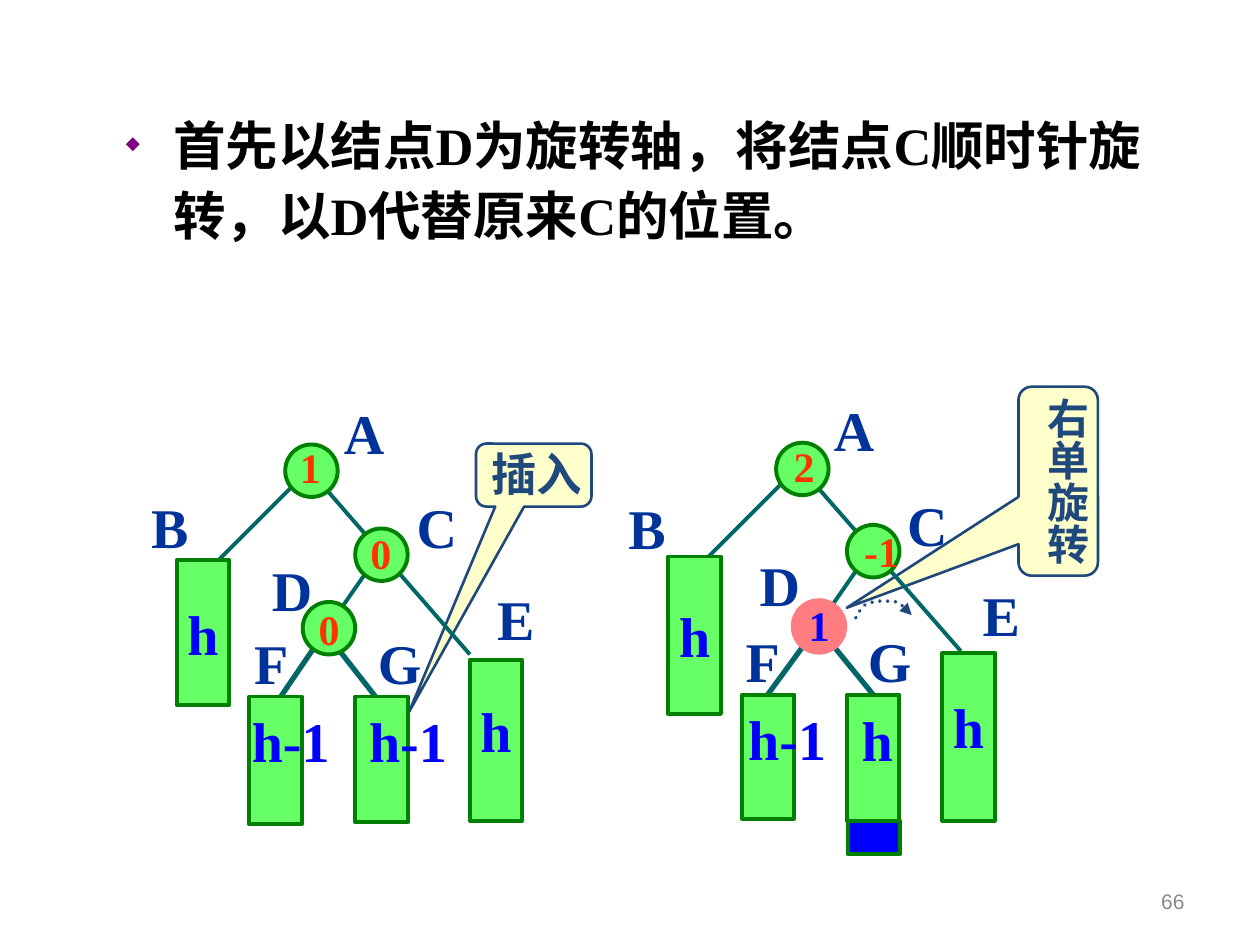
from lxml import etree
from pptx import Presentation
from pptx import util as u
from pptx.dml.color import RGBColor
from pptx.enum import dml, shapes, text
from pptx.oxml.ns import qn

Pt = u.Pt
THEME = dict(
    serif="Times New Roman", sans="Arial",
    body=30, label=32, value=24, number=12,
    black="000000", grey="898989", bullet="800080",
    green="66FF66", outline="008000", pink="FF7C80", blue="0000FF",
    edge="006666", name="003399", balance="FF3300",
    note="FFFFCC", ink="1F497D",
)

# Content: lengths in points
STATEMENT = "首先以结点D为旋转轴，将结点C顺时针旋转，以D代替原来C的位置。"
NODE = 30   # circle diameter and subtree width
INSET = 7.2
ADVANCE = {"A": .722, "B": .667, "C": .722, "D": .722, "E": .667, "F": .611,
           "G": .778, "h": .556, "-": .333, "0": .5, "1": .5, "2": .5}

TREES = [
    dict(  # before the rotation
        callout=(272, 253.5, 66, 36, -1.08, 3.76),
        note=("插入", 273.6, 251.3, 70, 39, 26, False),
        edges=[("DF", 185, 362, 160.5, 398, 3), ("DG", 191, 368, 214.5, 398, 3),
               ("AB", 167, 278, 113, 332, 2.25), ("AE", 185, 278, 268.5, 374, 2.25),
               ("CD", 210, 326, 185, 362, 2.25)],
        joined=[],
        subtrees=[("B", 101, 320, 83, "h", 1), ("E", 268.5, 377, 92, "h", .6),
                  ("F", 142.5, 398, 73, "", 1), ("G", 203, 398, 72, "", 1)],
        nodes=[("A", 163, 254, "green", "outline"), ("C", 203, 302, "green", "outline"),
               ("D", 173, 344, "green", "outline")],
        heights=[("h-1", 203.8, 400.3), ("h-1", 136.8, 400.3)],
        names=[("A", 189.4, 224), ("C", 231, 278), ("E", 277, 330.5),
               ("D", 148.3, 314), ("B", 79.2, 278), ("F", 138.2, 355.7),
               ("G", 208.8, 355.7)],
        values=[("1", 164.2, 249, "balance"), ("0", 204.5, 298, "balance"),
                ("0", 175, 341.3, "balance")],
    ),
    dict(  # after the insertion
        callout=(582, 221, 45.4, 108, -2.66, .67),
        note=("右单旋转", 584.8, 219.8, 43.2, 110.4, 24, True),
        edges=[("DF", 465, 361, 435, 402, 3), ("DG", 474.5, 367, 499, 397, 3),
               ("AB", 447, 276, 393, 330, 2.25), ("AE", 465, 276, 549, 372, 2.25),
               ("CD", 490, 325, 465, 361, 2.25)],
        joined=[("DG", "G")],
        subtrees=[("B", 382, 318, 90, "h", 1), ("E", 538.5, 373, 96, "h", .6),
                  ("F", 424, 397, 71, "", 1), ("G", 484, 397, 72, "", 1)],
        nodes=[("A", 443.5, 253, "green", "outline"), ("C", 484, 300, "green", "outline"),
               ("D", 453, 343, "pink", "pink")],
        heights=[("h", 485.3, 399.6), ("h-1", 420.5, 399)],
        names=[("A", 469.4, 222.5), ("C", 511.2, 276.5), ("E", 554.4, 328.3),
               ("B", 352, 278.6), ("F", 419, 354.2), ("G", 488.9, 354.2),
               ("D", 427, 311)],
        values=[("-1", 486.7, 296.6, "balance"), ("1", 455, 339, "blue"),
                ("2", 446.4, 248.4, "balance")],
    ),
]
INSERTED = (484.5, 469, NODE, 19)
# Cubic curve: a start point, then two controls and an end for each piece
TURN = [(489, 353), (490.5, 350), (492.5, 347), (494.5, 345.5),
        (497.5, 344), (501, 343.5), (504, 343.5),
        (507, 343.5), (510, 343.5), (512.5, 344),
        (515.5, 345.5), (519.5, 350), (521, 351.5)]


def color(key):
    return RGBColor.from_string(THEME[key])


def write(shape, content, size, ink, font="serif", bold=True, align=None, wrap=False):
    frame = shape.text_frame
    frame.word_wrap = wrap
    frame.margin_left = frame.margin_right = Pt(INSET)
    frame.margin_top = frame.margin_bottom = Pt(INSET / 2)
    para = frame.paragraphs[0]
    para.alignment = align
    span = para.add_run()
    span.text = content
    span.font.name, span.font.size, span.font.bold = THEME[font], Pt(size), bold
    span.font.color.rgb = color(ink)
    return para


def add_text(page, content, x, y, w, h, *style, **options):
    box = page.shapes.add_textbox(Pt(x), Pt(y), Pt(w), Pt(h))
    return box, write(box, content, *style, **options)


def add_label(page, content, x, y, size, ink):
    width = size * sum(ADVANCE[letter] for letter in content) + 2 * INSET
    add_text(page, content, x, y, width, 1.2 * size + INSET, size, ink)


def add_figure(page, kind, x, y, w, h, fill, line, weight=2.25):
    shape = page.shapes.add_shape(kind, Pt(x), Pt(y), Pt(w), Pt(h))
    shape.shadow.inherit = False
    shape.fill.solid()
    shape.fill.fore_color.rgb = color(fill)
    shape.line.color.rgb = color(line)
    shape.line.width = Pt(weight)
    return shape


def add_edge(page, x1, y1, x2, y2, weight):
    edge = page.shapes.add_connector(shapes.MSO_CONNECTOR.STRAIGHT,
                                     Pt(x1), Pt(y1), Pt(x2), Pt(y2))
    edge.line.color.rgb = color("edge")
    edge.line.width = Pt(weight)
    etree.SubElement(edge._element.spPr, qn("a:effectLst"))
    return edge


def add_callout(page, callout, note):
    *place, tip_x, tip_y = callout
    bubble = add_figure(page, shapes.MSO_SHAPE.ROUNDED_RECTANGULAR_CALLOUT,
                        *place, "note", "ink", 1.5)
    bubble.adjustments[0], bubble.adjustments[1] = tip_x, tip_y
    *words, size, vertical = note
    box, _ = add_text(page, *words, size, "ink")
    if vertical:
        frame = box.text_frame
        frame._txBody.bodyPr.set("vert", "eaVert")
        frame.margin_left = frame.margin_right = Pt(INSET / 2)
        frame.margin_top = frame.margin_bottom = Pt(INSET)


def add_tree(page, tree):
    add_callout(page, tree["callout"], tree["note"])
    edges = {key: add_edge(page, *ends) for key, *ends in tree["edges"]}
    boxes = {}
    for key, x, y, height, content, spacing in tree["subtrees"]:
        box = add_figure(page, shapes.MSO_SHAPE.RECTANGLE, x, y, NODE, height,
                         "green", "outline")
        boxes[key] = box
        if content:
            para = write(box, content, THEME["label"], "blue", align=text.PP_ALIGN.CENTER)
            para.line_spacing = spacing
            box.text_frame.vertical_anchor = text.MSO_ANCHOR.MIDDLE
    for edge, box in tree["joined"]:
        edges[edge].end_connect(boxes[box], 0)
    for content, x, y in tree["heights"]:
        add_label(page, content, x, y, THEME["label"], "blue")
    for _, x, y, fill, line in tree["nodes"]:
        add_figure(page, shapes.MSO_SHAPE.OVAL, x, y, NODE, NODE, fill, line)
    for content, x, y in tree["names"]:
        add_label(page, content, x, y, THEME["label"], "name")
    for content, x, y, ink in tree["values"]:
        add_label(page, content, x, y, THEME["value"], ink)


def curve_points(knots, steps=6):
    for start in range(0, len(knots) - 1, 3):
        piece = knots[start:start + 4]
        for t in (step / steps for step in range(1, steps + 1)):
            weights = ((1 - t) ** 3, 3 * t * (1 - t) ** 2, 3 * t * t * (1 - t), t ** 3)
            yield tuple(Pt(sum(k * point[axis] for k, point in zip(weights, piece)))
                        for axis in (0, 1))


def add_turn(page):
    builder = page.shapes.build_freeform(Pt(TURN[0][0]), Pt(TURN[0][1]))
    builder.add_line_segments(list(curve_points(TURN)), close=False)
    arrow = builder.convert_to_shape()
    arrow.shadow.inherit = False
    arrow.fill.background()
    arrow.line.color.rgb = color("ink")
    arrow.line.width = Pt(2.25)
    arrow.line.dash_style = dml.MSO_LINE.ROUND_DOT
    stroke = arrow.line._get_or_add_ln()
    stroke.set("cap", "rnd")
    etree.SubElement(stroke, qn("a:tailEnd"), type="triangle")


def add_statement(page):
    _, para = add_text(page, STATEMENT, 64.8, 57.6, 601.2, 86.4,
                       THEME["body"], "black", wrap=True)
    para.line_spacing = 1.1
    props = para._p.get_or_add_pPr()
    props.set("marL", str(Pt(27)))
    props.set("indent", str(-Pt(27)))
    tint = etree.SubElement(props, qn("a:buClr"))
    etree.SubElement(tint, qn("a:srgbClr"), val=THEME["bullet"])
    etree.SubElement(props, qn("a:buSzPct"), val="35000")
    etree.SubElement(props, qn("a:buChar"), char="◆")


def main():
    deck = Presentation()
    deck.slide_width, deck.slide_height = Pt(720), Pt(540)
    page = deck.slides.add_slide(deck.slide_layouts[6])
    # Page number
    box, _ = add_text(page, "66", 516.2, 500.4, 167.8, 28.8, THEME["number"], "grey",
                      font="sans", bold=False, align=text.PP_ALIGN.RIGHT, wrap=True)
    box.text_frame.vertical_anchor = text.MSO_ANCHOR.MIDDLE
    # Trees, the inserted node and the turning arrow
    for tree in TREES:
        add_tree(page, tree)
    add_figure(page, shapes.MSO_SHAPE.RECTANGLE, *INSERTED, "blue", "outline")
    add_turn(page)
    add_statement(page)
    deck.save("out.pptx")


if __name__ == "__main__":
    main()
